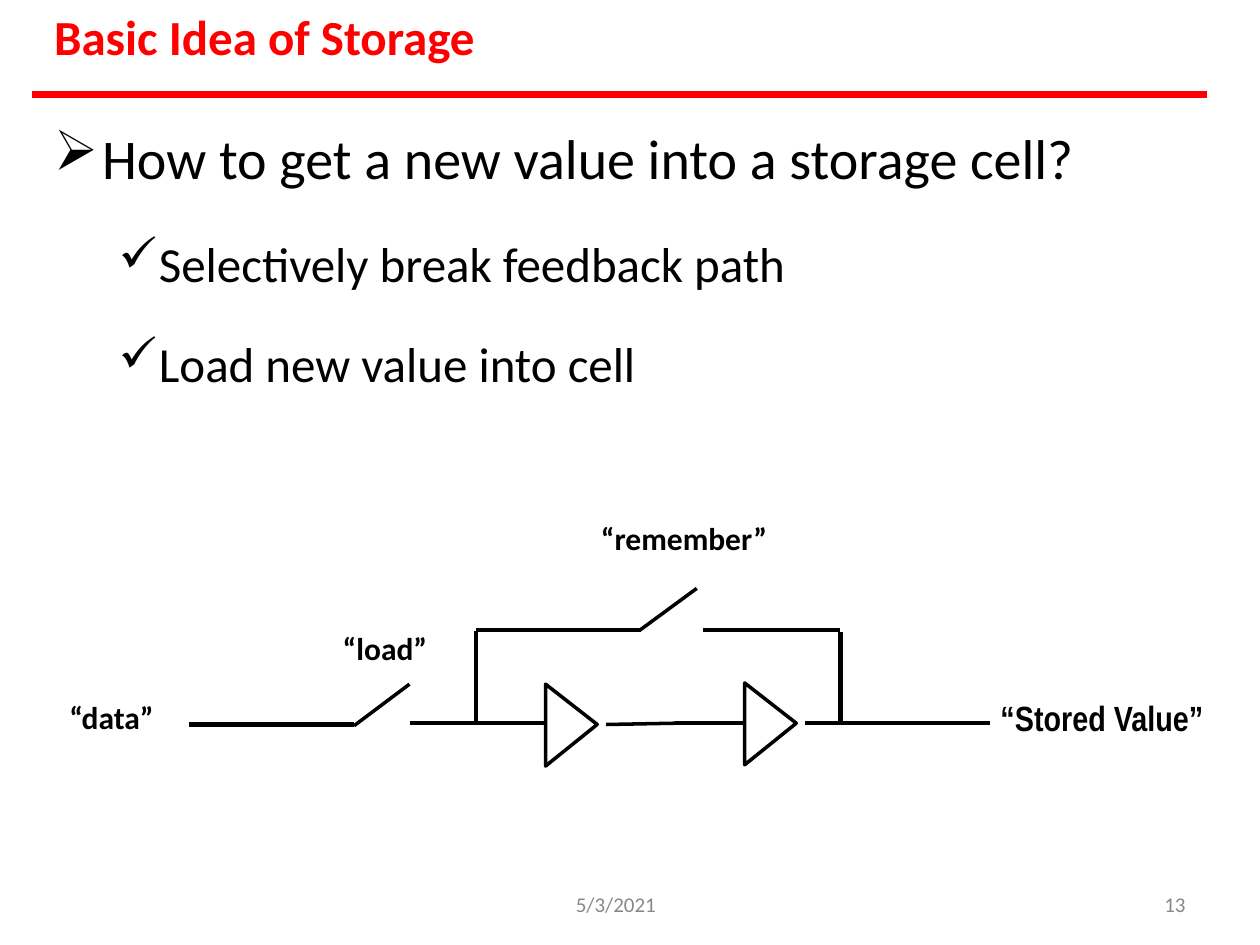
"""Build the slide on the basic idea of storage."""
from lxml import etree
from pptx import Presentation
from pptx.dml.color import RGBColor
from pptx.enum.shapes import MSO_CONNECTOR
from pptx.oxml.ns import qn
from pptx.util import Inches, Pt


def color(value):
    return RGBColor.from_string(value)


def add_text(page, place, lines, size, ink, bold=False, font="Calibri"):
    box = page.shapes.add_textbox(*[Inches(length) for length in place])
    frame = box.text_frame
    frame.word_wrap = True
    frame.margin_left = frame.margin_right = frame.margin_bottom = 0
    frame.margin_top = Inches(0.01)
    for index, line in enumerate(lines):
        para = frame.add_paragraph() if index else frame.paragraphs[0]
        span = para.add_run()
        span.text = line
        span.font.name = font
        span.font.size = Pt(size)
        span.font.bold = bold
        span.font.color.rgb = color(ink)
    return frame


deck = Presentation()
deck.slide_width, deck.slide_height = Inches(10), Inches(7.5)
page = deck.slides.add_slide(deck.slide_layouts[6])

add_text(page, (0.43, 0.04, 8.11, 0.49), ["Basic Idea of Storage"], 28, "FF0000", True)

points = [
    "How to get a new value into a storage cell?",
    "Selectively break feedback path",
    "Load new value into cell",
]
styles = [
    (0, 32, 0, 0.39, -0.38, "Ø"),
    (1, 28, 24.6, 0.83, -0.31, "ü"),
    (1, 28, 23.6, 0.83, -0.31, "ü"),
]
body = add_text(page, (0.42, 0.97, 8.12, 2.13), points, 28, "000000")
for para, (level, size, before, margin, indent, mark) in zip(body.paragraphs, styles):
    para.level = level
    para.space_before = Pt(before)
    para.runs[0].font.size = Pt(size)
    properties = para._p.get_or_add_pPr()
    properties.set("marL", str(Inches(margin)))
    properties.set("indent", str(Inches(indent)))
    bullet_color = etree.SubElement(properties, qn("a:buClr"))
    etree.SubElement(bullet_color, qn("a:srgbClr")).set("val", "000000")
    bullet_font = etree.SubElement(properties, qn("a:buFont"))
    bullet_font.set("typeface", "Wingdings")
    bullet_font.set("charset", "2")
    etree.SubElement(properties, qn("a:buChar")).set("char", mark)

lines = [
    (0.25, 0.75, 9.58, 0.75, 4, "FF0000"),
    (3.25, 5.74, 4.33, 5.74, 2, "000000"),
    (4.81, 5.75, 5.36, 5.74, 2, "000000"),
    (5.36, 5.74, 5.91, 5.74, 2, "000000"),
    (6.39, 5.74, 7.86, 5.74, 2, "000000"),
    (3.78, 5.74, 3.78, 5.01, 2.5, "000000"),
    (3.78, 5, 5.09, 5, 2.5, "000000"),
    (6.67, 5.75, 6.67, 5.02, 2.5, "000000"),
    (5.58, 5, 6.67, 5, 2.5, "000000"),
    (1.5, 5.75, 2.81, 5.75, 2.5, "000000"),
    (2.81, 5.76, 3.25, 5.43, 2, "000000"),
    (5.08, 5, 5.53, 4.67, 2, "000000"),
]
for *ends, width, ink in lines:
    wire = page.shapes.add_connector(
        MSO_CONNECTOR.STRAIGHT, *[Inches(length) for length in ends]
    )
    wire.line.width = Pt(width)
    wire.line.color.rgb = color(ink)
    etree.SubElement(wire._element.spPr, qn("a:effectLst"))

for left, top in [(4.33, 5.43), (5.91, 5.42)]:
    builder = page.shapes.build_freeform(Inches(left), Inches(top))
    corners = [(left + 0.41, top + 0.32), (left, top + 0.65)]
    builder.add_line_segments([(Inches(x), Inches(y)) for x, y in corners], close=True)
    buffer = builder.convert_to_shape()
    buffer.shadow.inherit = False
    buffer.fill.background()
    buffer.line.width = Pt(2)
    buffer.line.color.rgb = color("000000")

labels = [
    ("“data”", 0.55, 5.53, 0.8),
    ("“load”", 2.72, 4.98, 0.8),
    ("“remember”", 4.77, 4.11, 1.4),
]
for label, left, top, width in labels:
    add_text(page, (left, top, width, 0.33), [label], 18, "000000", True)
add_text(page, (7.94, 5.52, 1.75, 0.36), ["“Stored Value”"], 20, "000000", True, "Arial Narrow")

for label, left, width in [("5/3/2021", 4.57, 0.88), ("13", 9.24, 0.25)]:
    footer = add_text(page, (left, 7.07, width, 0.19), [label], 12, "888888")
    footer.margin_top = 0
    footer.paragraphs[0].line_spacing = 1.03

deck.save("out.pptx")
